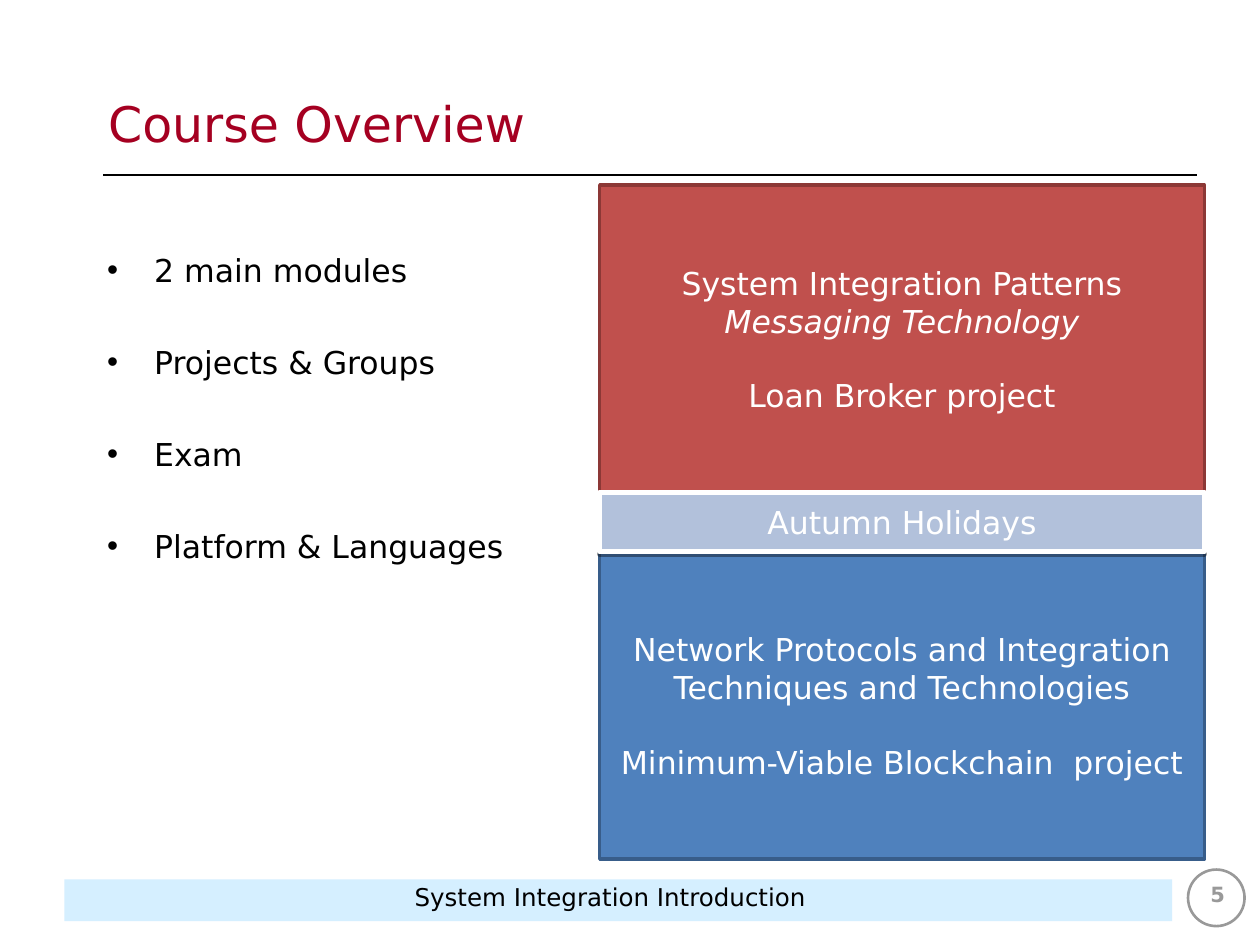
from dataclasses import dataclass

import pptx
import pptx.dml.color
import pptx.enum.shapes
import pptx.enum.text
import pptx.oxml
import pptx.oxml.ns
import pptx.util
from pptx.util import Cm, Pt

ALIGN = pptx.enum.text.PP_ALIGN
ANCHOR = pptx.enum.text.MSO_ANCHOR
SHAPE = pptx.enum.shapes.MSO_SHAPE
FONT = "DejaVu Sans"
INSETS = {"margin_left": Cm(0.25), "margin_right": Cm(0.25),
          "margin_top": Cm(0.13), "margin_bottom": Cm(0.13), "word_wrap": True}


@dataclass
class Box:
    left: float
    top: float
    width: float
    height: float

    def lengths(self) -> tuple:
        return Cm(self.left), Cm(self.top), Cm(self.width), Cm(self.height)


@dataclass
class Line:
    text: str
    gap: float = 0
    italic: bool = False


@dataclass
class Module:
    height: float
    fill: str
    border: str
    border_width: float
    lines: list[Line]
    shadowed: bool = False


def color(value: str) -> pptx.dml.color.RGBColor:
    return pptx.dml.color.RGBColor.from_string(value)


def apply(target, values: dict) -> None:
    for name, value in values.items():
        setattr(target, name, value)


def add_xml(parent, xml: str) -> None:
    """Append a fragment whose root uses the a: prefix."""
    declared = xml.replace(" ", f" {pptx.oxml.ns.nsdecls('a')} ", 1)
    parent.append(pptx.oxml.parse_xml(declared))


def write(frame, lines: list[Line], size: float, ink: str, align=ALIGN.LEFT,
          anchor=ANCHOR.TOP, bold: bool = False, bulleted: bool = False) -> None:
    apply(frame, {**INSETS, "vertical_anchor": anchor})
    for index, line in enumerate(lines):
        paragraph = frame.paragraphs[0] if index == 0 else frame.add_paragraph()
        apply(paragraph, {"alignment": align, "space_before": Pt(line.gap)})
        if bulleted:
            properties = paragraph._p.get_or_add_pPr()
            properties.set("marL", str(Cm(0.95)))
            properties.set("indent", str(-Cm(0.95)))
            add_xml(properties, '<a:buFont typeface="Arial"/>')
            add_xml(properties, '<a:buChar char="•"/>')
        run = paragraph.add_run()
        run.text = line.text
        apply(run.font, {"name": FONT, "size": Pt(size),
                         "bold": bold, "italic": line.italic})
        run.font.color.rgb = color(ink)


def add_text(slide, box: Box, lines: list[Line], size: float, ink: str, **layout) -> None:
    write(slide.shapes.add_textbox(*box.lengths()).text_frame, lines, size, ink, **layout)


def add_figure(slide, kind, box: Box, fill: str, border: str = "", border_width: float = 0):
    figure = slide.shapes.add_shape(kind, *box.lengths())
    figure.shadow.inherit = False
    figure.fill.solid()
    figure.fill.fore_color.rgb = color(fill)
    if border:
        figure.line.color.rgb = color(border)
        figure.line.width = Pt(border_width)
    else:
        figure.line.fill.background()
    return figure


def add_module(slide, module: Module, box: Box) -> None:
    block = add_figure(slide, SHAPE.RECTANGLE, box, module.fill,
                       module.border, module.border_width)
    if module.shadowed:
        effects = block._element.spPr.find(pptx.oxml.ns.qn("a:effectLst"))
        add_xml(effects, f'<a:outerShdw blurRad="0" dist="{Pt(1.6)}" dir="5400000" '
                         'rotWithShape="0"><a:srgbClr val="000000"><a:alpha val="38000"/>'
                         '</a:srgbClr></a:outerShdw>')
    write(block.text_frame, module.lines, 18, "FFFFFF",
          align=ALIGN.CENTER, anchor=ANCHOR.MIDDLE)


def add_footer(slide) -> None:
    add_figure(slide, SHAPE.OVAL, Box(23.95, 17.53, 1.14, 1.14), "FFFFFF", "999999", 1.5)
    bar = add_figure(slide, SHAPE.RECTANGLE, Box(1.3, 17.73, 22.33, 0.84), "CCECFF")
    bar_color = bar._element.spPr.find(".//" + pptx.oxml.ns.qn("a:srgbClr"))
    add_xml(bar_color, '<a:alpha val="82000"/>')
    add_text(slide, Box(23.6, 17.65, 1.9, 1.27), [Line("5")], 12, "999999",
             align=ALIGN.CENTER, bold=True)
    add_text(slide, Box(7.9, 17.65, 8.81, 1.27), [Line("System Integration Introduction")],
             14, "000000", align=ALIGN.CENTER)


def add_heading(slide) -> None:
    rule = slide.shapes.add_connector(pptx.enum.shapes.MSO_CONNECTOR.STRAIGHT,
                                      Cm(2.08), Cm(3.53), Cm(24.13), Cm(3.53))
    rule.line.color.rgb = color("000000")
    rule.line.width = Pt(0.75)
    add_xml(rule._element.spPr, "<a:effectLst />")
    add_text(slide, Box(1.93, 0.91, 21.54, 3.15), [Line("Course Overview")],
             28, "A50021", anchor=ANCHOR.MIDDLE)


def add_schedule(slide) -> None:
    patterns = Module(6.2, "C0504D", "8C3836", 2, [
        Line("System Integration Patterns"),
        Line("Messaging Technology", italic=True),
        Line("Loan Broker project", gap=21)])
    holidays = Module(1.19, "B2C1DB", "FFFFFF", 3, [Line("Autumn Holidays")], shadowed=True)
    protocols = Module(6.2, "4F81BD", "385D8A", 2, [
        Line("Network Protocols and Integration Techniques and Technologies"),
        Line("Minimum-Viable Blockchain  project", gap=21)])
    top = 3.73
    placed = []
    for module in (patterns, holidays, protocols):
        placed.append((module, Box(12.09, top, 12.19, module.height)))
        top += module.height
    # The holidays overlap both neighbours, so they go on last.
    for module, box in sorted(placed, key=lambda pair: pair[0].shadowed):
        add_module(slide, module, box)


def main() -> None:
    deck = pptx.Presentation()
    apply(deck, {"slide_width": Cm(25.4), "slide_height": Cm(19.05)})
    slide = deck.slides.add_slide(deck.slide_layouts[6])
    add_footer(slide)
    add_heading(slide)
    topics = ["2 main modules", "Projects & Groups", "Exam", "Platform & Languages"]
    add_text(slide, Box(1.91, 4.93, 21.59, 12.19),
             [Line(topic, gap=31 if index else 0) for index, topic in enumerate(topics)],
             18, "000000", bulleted=True)
    add_schedule(slide)
    deck.save("out.pptx")


if __name__ == "__main__":
    main()
